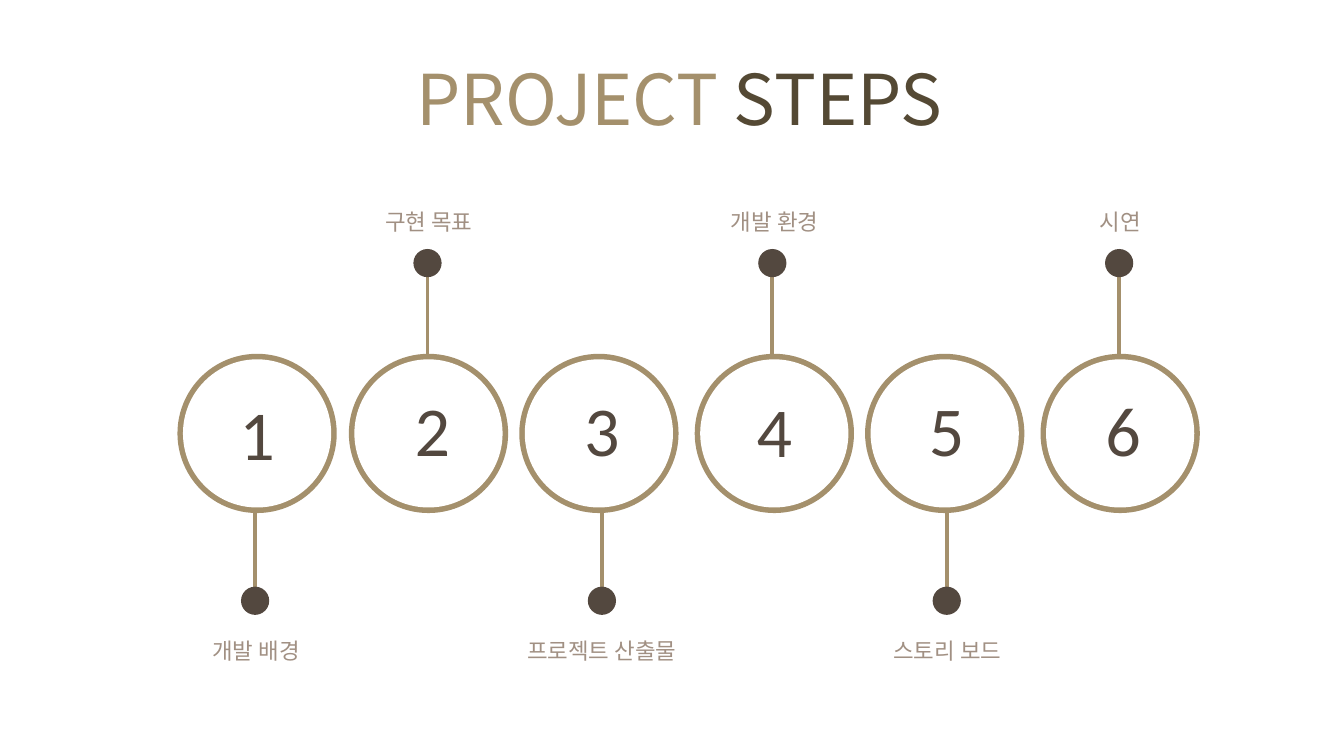
import pptx
import pptx.util
import pptx.dml.color
import pptx.enum.shapes
import pptx.enum.text
import lxml.etree
from pptx.oxml.ns import qn

Inches = pptx.util.Inches
Pt = pptx.util.Pt
GOLD, DARK, TAUPE, WHITE = "A4906C", "53483F", "A19083", "FFFFFF"
OLIVE = "544934"
RING, HOLE, DOT = 1.58, 1.47, 0.28
RING_TOP = 3.51

STEPS = [
    ("개발 배경", 1.76, 2.53, 2.55, 3.83),
    ("구현 목표", 3.46, 4.24, 4.29, 3.79),
    ("프로젝트 산출물", 5.15, 5.97, 5.97, 3.79),
    ("개발 환경", 6.89, 7.66, 7.68, 3.8),
    ("스토리 보드", 8.58, 9.39, 9.39, 3.79),
    ("시연", 10.32, 11.1, 11.14, 3.79),
]
LABEL_START, LABEL_PITCH = 1.33, 1.714


def colour(value):
    return pptx.dml.color.RGBColor.from_string(value)


def add_circle(shapes, left, top, size, fill):
    circle = shapes.add_shape(
        pptx.enum.shapes.MSO_SHAPE.OVAL,
        Inches(left), Inches(top), Inches(size), Inches(size))
    circle.shadow.inherit = False
    circle.fill.solid()
    circle.fill.fore_color.rgb = colour(fill)
    circle.line.fill.background()


def add_stem(shapes, x, top, bottom):
    stem = shapes.add_connector(
        pptx.enum.shapes.MSO_CONNECTOR.STRAIGHT,
        Inches(x), Inches(top), Inches(x), Inches(bottom))
    stem.line.color.rgb = colour(GOLD)
    stem.line.width = Pt(2.7)
    lxml.etree.SubElement(stem._element.spPr, qn("a:effectLst"))


def add_text(shapes, box, spans, size, font, wrap=True, spacing=None):
    text_box = shapes.add_textbox(*(Inches(length) for length in box))
    frame = text_box.text_frame
    frame.word_wrap = wrap
    frame.auto_size = pptx.enum.text.MSO_AUTO_SIZE.SHAPE_TO_FIT_TEXT
    para = frame.paragraphs[0]
    para.alignment = pptx.enum.text.PP_ALIGN.CENTER
    if spacing:
        para.line_spacing = Pt(spacing)
    para.font.size = Pt(size)
    para.font.name = font
    for text, fill in spans:
        span = para.add_run()
        span.text = text
        span.font.color.rgb = colour(fill)


def add_title(page, box):
    add_text(page.shapes, box, [("PROJECT ", GOLD), ("STEPS", OLIVE)],
             50, "Noto Sans CJK KR")


def add_step(page, number, label, ring_left, stem_x, number_x, number_top):
    shapes = page.shapes.add_group_shape().shapes
    if number % 2:
        stem_top, stem_bottom, dot_top, label_top = 4.93, 5.98, 5.82, 6.23
    else:
        stem_top, stem_bottom, dot_top, label_top = 2.59, 3.65, 2.47, 1.97
    inset = (RING - HOLE) / 2
    label_left = LABEL_START + (number - 1) * LABEL_PITCH

    add_stem(shapes, stem_x, stem_top, stem_bottom)
    add_circle(shapes, ring_left, RING_TOP, RING, GOLD)
    add_circle(shapes, stem_x - DOT / 2, dot_top, DOT, DARK)
    add_circle(shapes, ring_left + inset, RING_TOP + inset, HOLE, WHITE)
    add_text(shapes, (label_left, label_top, 2.42, 0.41), [(label, TAUPE)],
             16, "Lato", spacing=22.2)
    add_text(shapes, (number_x - 0.28, number_top, 0.56, 0.94),
             [(str(number), DARK)], 50, "Calibri", wrap=False)


def main():
    deck = pptx.Presentation()
    deck.slide_width, deck.slide_height = Inches(13.33), Inches(7.5)
    page = deck.slides.add_slide(deck.slide_layouts[6])
    add_title(page, (3.74, 0.5, 6, 0.94))
    for number, step in enumerate(STEPS, 1):
        add_step(page, number, *step)
    deck.save("out.pptx")


if __name__ == "__main__":
    main()
